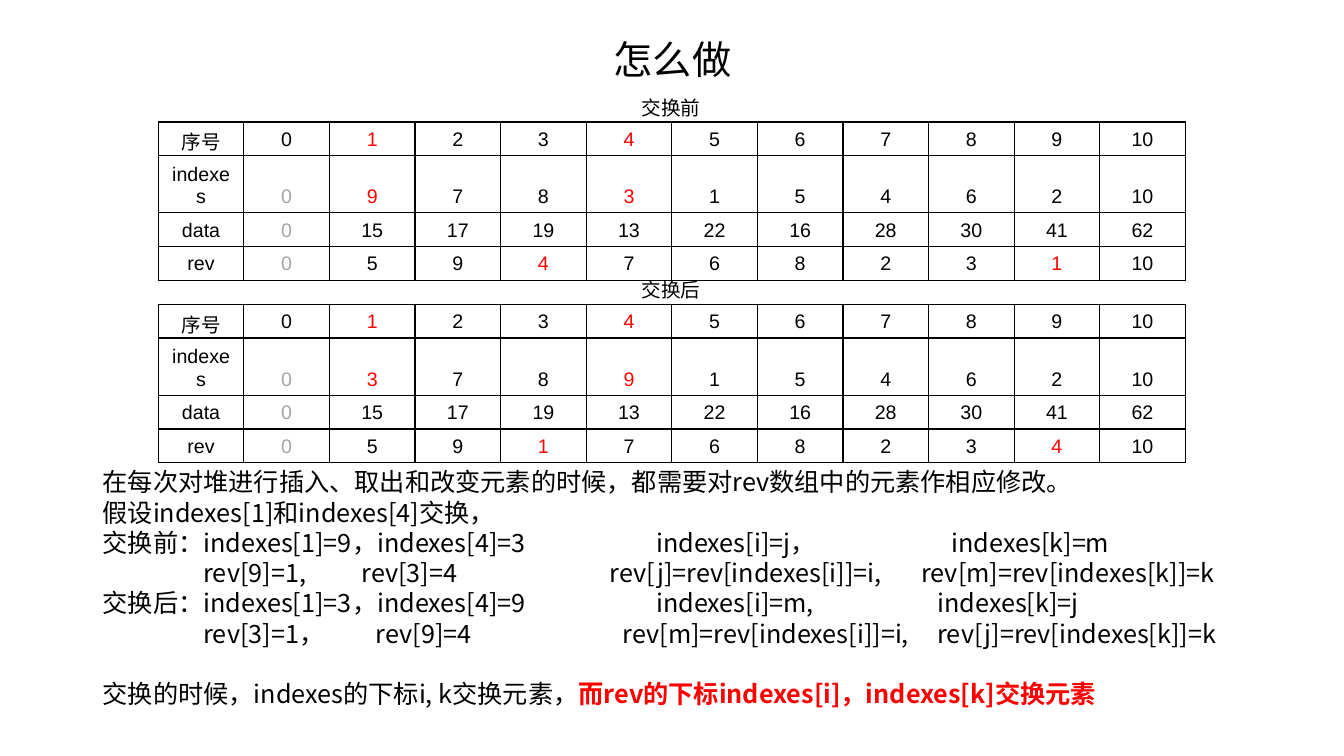
from lxml.etree import SubElement
from pptx import Presentation
from pptx.dml.color import RGBColor
from pptx.enum.text import MSO_ANCHOR, PP_ALIGN
from pptx.oxml.ns import qn
from pptx.util import Inches, Pt

INK = {"text": "000000", "mark": "FF0000", "mute": "A5A5A5", "line": "000000"}
SANS = "Noto Sans CJK SC"

HEAD = ["序号", *range(11)]
DATA = ["data", 0, 15, 17, 19, 13, 22, 16, 28, 30, 41, 62]
# Each state: caption, top of its box, indexes row, rev row
STATES = [
    ("交换前", 0.9, ["indexes", 0, 9, 7, 8, 3, 1, 5, 4, 6, 2, 10],
     ["rev", 0, 5, 9, 4, 7, 6, 8, 2, 3, 1, 10]),
    ("交换后", 2.71, ["indexes", 0, 3, 7, 8, 9, 1, 5, 4, 6, 2, 10],
     ["rev", 0, 5, 9, 1, 7, 6, 8, 2, 3, 4, 10]),
]
MARKS = [(2, 5), (2, 5), (), (4, 10)]  # red columns of each row

# Each line: tab stops in inches, then runs of text and colour
NOTES = [
    ((), [("在每次对堆进行插入、取出和改变元素的时候，都需要对rev数组中的元素作相应修改。", "text")]),
    ((), [("假设indexes[1]和indexes[4]交换，", "text")]),
    ((5.49, 8.42), [("交换前：indexes[1]=9，indexes[4]=3\tindexes[i]=j，\tindexes[k]=m", "text")]),
    ((1, 2.57, 5.03, 8.12),
     [("\trev[9]=1,\trev[3]=4\trev[j]=rev[indexes[i]]=i,\trev[m]=rev[indexes[k]]=k", "text")]),
    ((5.49, 8.28), [("交换后：indexes[1]=3，indexes[4]=9\tindexes[i]=m,\tindexes[k]=j", "text")]),
    ((1, 2.71, 5.16, 8.28),
     [("\trev[3]=1，\trev[9]=4\trev[m]=rev[indexes[i]]=i,\trev[j]=rev[indexes[k]]=k", "text")]),
    ((), [("交换的时候，indexes的下标i, k交换元素，", "text"),
          ("而rev的下标indexes[i]，indexes[k]交换元素", "mark")]),
]


def style(para, size, face=SANS, ink="text"):
    font = para.font
    font.size, font.name = Pt(size), face
    font.color.rgb = RGBColor.from_string(INK[ink])
    base = para._p.pPr.find(qn("a:defRPr"))
    base.find(qn("a:latin")).addnext(base.makeelement(qn("a:ea"), {"typeface": SANS}))


def add_text(slide, left, top, width, height):
    frame = slide.shapes.add_textbox(
        Inches(left), Inches(top), Inches(width), Inches(height)).text_frame
    frame.word_wrap = True
    return frame


def add_title(slide, left, top, width, height):
    frame = add_text(slide, left, top, width, height)
    frame.vertical_anchor = MSO_ANCHOR.MIDDLE
    para = frame.paragraphs[0]
    para.text = "怎么做"
    para.alignment, para.line_spacing = PP_ALIGN.CENTER, 0.9
    style(para, 28)


def edge(cell):
    props = cell._tc.get_or_add_tcPr()
    for i, side in enumerate(("lnL", "lnR", "lnT", "lnB")):
        line = props.makeelement(qn("a:" + side), {"w": str(Pt(1))})
        fill = SubElement(line, qn("a:solidFill"))
        SubElement(fill, qn("a:srgbClr"), val=INK["line"])
        props.insert(i, line)


def add_state(slide, left, top, width, name, index, rev):
    # Caption
    para = add_text(slide, left + width / 2 - 0.4, top, 0.81, 0.34).paragraphs[0]
    para.text = name
    para.line_spacing = Pt(16.8)
    style(para, 14)

    # Array table
    rows = [HEAD, index, DATA, rev]
    table = slide.shapes.add_table(
        len(rows), len(HEAD), Inches(left), Inches(top + 0.31),
        Inches(width), Inches(1.33)).table
    table.first_row = table.horz_banding = False
    for r, row in enumerate(rows):
        for c, value in enumerate(row):
            cell = table.cell(r, c)
            cell.fill.background()
            cell.vertical_anchor = MSO_ANCHOR.BOTTOM
            edge(cell)
            para = cell.text_frame.paragraphs[0]
            para.text = str(value)
            para.alignment = PP_ALIGN.CENTER
            ink = "mark" if c in MARKS[r] else "mute" if r and c == 1 else "text"
            style(para, 14, "Arial", ink)


def add_notes(slide, left, top, width, height):
    frame = add_text(slide, left, top, width, height)
    for i, (stops, runs) in enumerate(NOTES):
        para = frame.add_paragraph() if i else frame.paragraphs[0]
        if stops:
            tabs = SubElement(para._p.get_or_add_pPr(), qn("a:tabLst"))
            for stop in stops:
                SubElement(tabs, qn("a:tab"), pos=str(Inches(stop)), algn="l")
        para.line_spacing = Pt(21.6)
        style(para, 18)
        for words, ink in runs:
            run = para.add_run()
            run.text = words
            if ink == "mark":
                run.font.bold = True
                run.font.color.rgb = RGBColor.from_string(INK[ink])
    para.space_before = Pt(21.6)


deck = Presentation()
deck.slide_width, deck.slide_height = Inches(13.33), Inches(7.5)
page = deck.slides.add_slide(deck.slide_layouts[6])
add_title(page, 0.92, 0.21, 11.5, 0.81)
add_notes(page, 0.92, 4.58, 11.5, 2.52)
for name, top, index, rev in STATES:
    add_state(page, 1.57, top, 10.19, name, index, rev)
deck.save("out.pptx")
